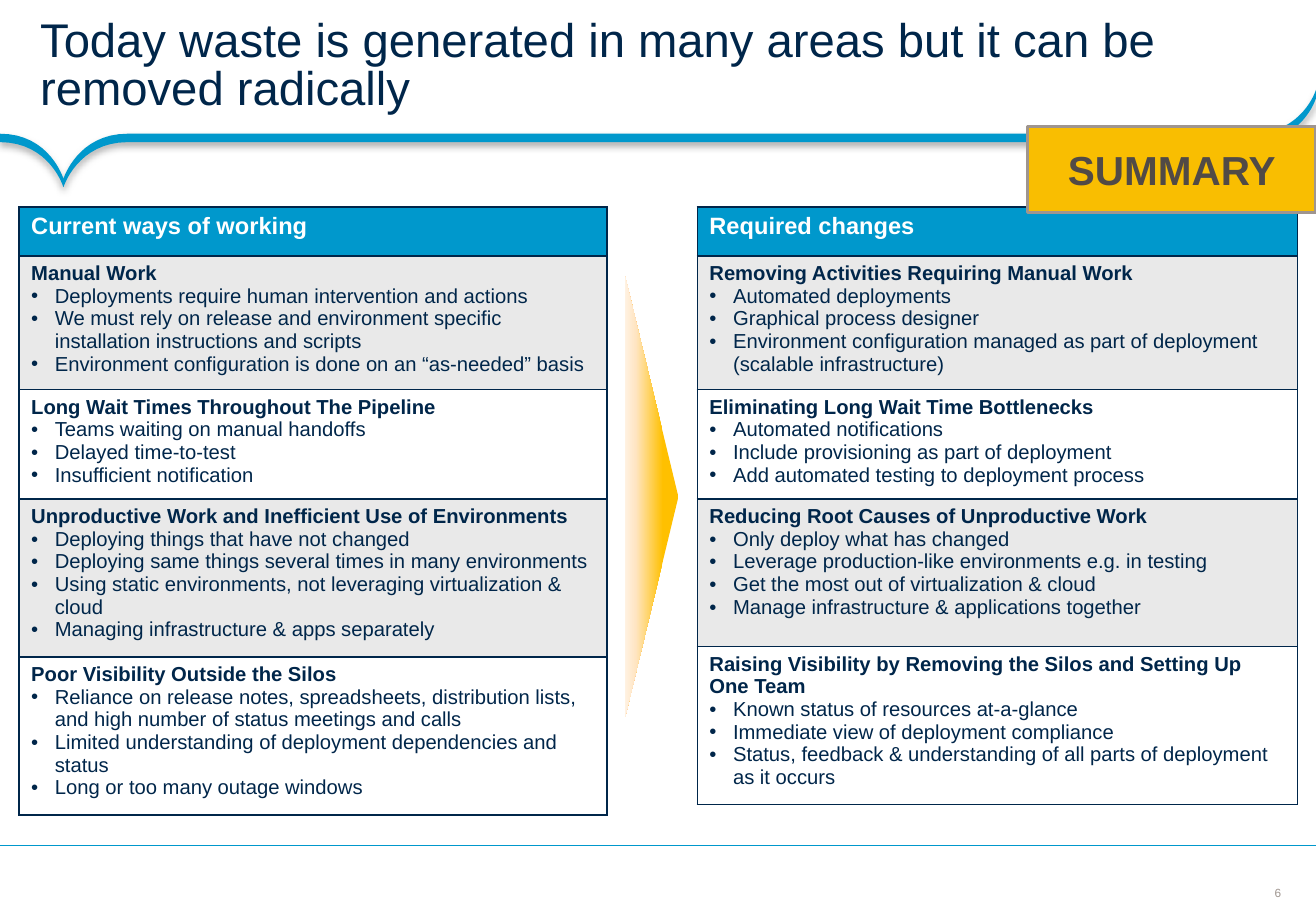
from dataclasses import dataclass

from lxml.etree import Element, SubElement
from copy import deepcopy
from pptx import Presentation
from pptx.dml.color import RGBColor
from pptx.enum.shapes import MSO_CONNECTOR, MSO_SHAPE
from pptx.enum.text import MSO_ANCHOR, MSO_AUTO_SIZE, PP_ALIGN
from pptx.oxml.ns import qn
from pptx.slide import Slide
from pptx.table import _Cell as Cell
from pptx.text.text import TextFrame
from pptx.util import Pt

HUES = {
    "blue": "0098CC", "navy": "00264A", "white": "FFFFFF", "band": "E9E9E9",
    "gold": "F9BE01", "edge": "9F958F", "ink": "514A46",
    "amber": "FFC000", "peach": "FFE5C3", "cream": "FFF2E2",
}
WIDE, HIGH = 780, 540
ROWS = (29, 74, 61.5, 87.5, 88)
Point = tuple[float, float]


@dataclass
class Topic:
    head: str
    items: tuple[str, ...]


@dataclass
class Panel:
    title: str
    left: float
    width: float
    topics: tuple[Topic, ...]


PANELS = (
    Panel("Current ways of working", 11.3, 348.5, (
        Topic("Manual Work", (
            "Deployments require human intervention and actions",
            "We must rely on release and environment specific installation instructions and scripts",
            "Environment configuration is done on an “as-needed” basis")),
        Topic("Long Wait Times Throughout The Pipeline", (
            "Teams waiting on manual handoffs",
            "Delayed time-to-test",
            "Insufficient notification")),
        Topic("Unproductive Work and Inefficient Use of Environments", (
            "Deploying things that have not changed",
            "Deploying same things several times in many environments",
            "Using static environments, not leveraging virtualization & cloud",
            "Managing infrastructure & apps separately")),
        Topic("Poor Visibility Outside the Silos", (
            "Reliance on release notes, spreadsheets, distribution lists, and high number of status meetings and calls",
            "Limited understanding of deployment dependencies and status",
            "Long or too many outage windows")),
    )),
    Panel("Required changes", 413.3, 355.7, (
        Topic("Removing Activities Requiring Manual Work", (
            "Automated deployments",
            "Graphical process designer",
            "Environment configuration managed as part of deployment (scalable infrastructure)")),
        Topic("Eliminating Long Wait Time Bottlenecks", (
            "Automated notifications",
            "Include provisioning as part of deployment",
            "Add automated testing to deployment process")),
        Topic("Reducing Root Causes of Unproductive Work", (
            "Only deploy what has changed",
            "Leverage production-like environments e.g. in testing",
            "Get the most out of virtualization & cloud",
            "Manage infrastructure & applications together")),
        Topic("Raising Visibility by Removing the Silos and Setting Up One Team", (
            "Known status of resources at-a-glance",
            "Immediate view of deployment compliance",
            "Status, feedback & understanding of all parts of deployment as it occurs")),
    )),
)


def tint(name: str) -> RGBColor:
    return RGBColor.from_string(HUES[name])


def write(frame: TextFrame, text: str, *, size: float = 12, hue: str = "navy",
          bold: bool = False, align: PP_ALIGN = PP_ALIGN.LEFT,
          space: float = 1, bullet: bool = False) -> None:
    par = frame.paragraphs[0]
    if par.runs:
        par = frame.add_paragraph()
    par.alignment, par.line_spacing = align, space
    run = par.add_run()
    run.text = text
    font = run.font
    font.name, font.size, font.bold = "Arial", Pt(size), bold
    font.color.rgb = tint(hue)
    if bullet:
        props = par._p.get_or_add_pPr()
        props.set("marL", str(Pt(14)))
        props.set("indent", str(-Pt(14)))
        SubElement(props, qn("a:buFont"), typeface="Arial")
        SubElement(props, qn("a:buChar"), char="•")


def paint(cell: Cell, hue: str) -> None:
    cell.fill.solid()
    cell.fill.fore_color.rgb = tint(hue)
    props = cell._tc.get_or_add_tcPr()
    for spot, side in enumerate("LRTB"):
        line = Element(qn(f"a:ln{side}"), w=str(Pt(1)))
        fill = SubElement(line, qn("a:solidFill"))
        SubElement(fill, qn("a:srgbClr"), val=HUES["navy"])
        props.insert(spot, line)


def draw_panel(slide: Slide, panel: Panel) -> None:
    table = slide.shapes.add_table(
        len(ROWS), 1, Pt(panel.left), Pt(122.7), Pt(panel.width), Pt(sum(ROWS))).table
    for row, high in zip(table.rows, ROWS):
        row.height = Pt(high)
    head = table.cell(0, 0)
    paint(head, "blue")
    write(head.text_frame, panel.title, size=14, hue="white", bold=True)
    for num, topic in enumerate(panel.topics, 1):
        cell = table.cell(num, 0)
        paint(cell, "band" if num % 2 else "white")
        write(cell.text_frame, topic.head, bold=True)
        for item in topic.items:
            write(cell.text_frame, item, bullet=True)


def curve(flat: Point, bend: Point, tip: Point) -> list[Point]:
    steps = [num / 16 for num in range(17)]
    return [tuple((1 - t) ** 3 * a + 3 * t * (1 - t) ** 2 * b + (3 * t * t - 2 * t ** 3) * c
                  for a, b, c in zip(flat, bend, tip)) for t in steps]


def draw_ribbon(slide: Slide) -> None:
    base, thick = 79.3, 5
    notch = (37.6, 106)
    upper = curve((0, base), (29.5, base), notch)
    upper += curve((75.6, base), (46, base), notch)[::-1]
    upper += curve((741.8, base), (772, base), (WIDE, 53.3))
    lower = [(x, y + thick) for x, y in reversed(upper)]
    start, *rest = [(Pt(x), Pt(y)) for x, y in upper + lower]
    build = slide.shapes.build_freeform(*start)
    build.add_line_segments(rest, close=True)
    shape = build.convert_to_shape()
    shape.fill.solid()
    shape.fill.fore_color.rgb = tint("blue")
    shape.line.fill.background()
    shape.shadow.inherit = False
    glow = SubElement(shape._element.spPr.find(qn("a:effectLst")), qn("a:outerShdw"),
                      blurRad=str(Pt(4)), dist=str(Pt(2)), dir="5400000", rotWithShape="0")
    shade = SubElement(glow, qn("a:srgbClr"), val="000000")
    SubElement(shade, qn("a:alpha"), val="31000")


def draw_arrow(slide: Slide) -> None:
    shape = slide.shapes.add_shape(
        MSO_SHAPE.ISOSCELES_TRIANGLE, Pt(255.6), Pt(278.7), Pt(261.4), Pt(31.6))
    shape.rotation = 90
    shape.shadow.inherit = False
    shape.line.fill.background()
    shape.fill.gradient()
    shape.fill.gradient_angle = 270
    last = list(shape._element.iter(qn("a:gs")))[-1]
    last.addnext(deepcopy(last))
    marks = ((0.29, "amber"), (0.8, "peach"), (1, "cream"))
    for stop, (place, hue) in zip(shape.fill.gradient_stops, marks):
        stop.position = place
        stop.color.rgb = tint(hue)


def draw_badge(slide: Slide) -> None:
    shape = slide.shapes.add_shape(MSO_SHAPE.RECTANGLE, Pt(609), Pt(75), Pt(171), Pt(51))
    shape.shadow.inherit = False
    shape.fill.solid()
    shape.fill.fore_color.rgb = tint("gold")
    shape.line.color.rgb = tint("edge")
    shape.line.width = Pt(2)
    shape.text_frame.vertical_anchor = MSO_ANCHOR.MIDDLE
    write(shape.text_frame, "SUMMARY", size=24, hue="ink", bold=True, align=PP_ALIGN.CENTER)


def draw_title(slide: Slide) -> None:
    title = slide.shapes.title
    title.left, title.top, title.width, title.height = Pt(0), Pt(0), Pt(WIDE), Pt(79.2)
    frame = title.text_frame
    frame.auto_size, frame.word_wrap = MSO_AUTO_SIZE.NONE, True
    frame.vertical_anchor = MSO_ANCHOR.MIDDLE
    frame.margin_left, frame.margin_right = Pt(23.8), Pt(13)
    frame.margin_top = frame.margin_bottom = Pt(3)
    write(frame, "Today waste is generated in many areas but it can be removed radically",
          size=28, space=0.85)


def draw_foot(slide: Slide) -> None:
    rule = slide.shapes.add_connector(MSO_CONNECTOR.STRAIGHT, Pt(WIDE), Pt(501), Pt(0), Pt(501))
    rule.line.color.rgb = tint("blue")
    rule.line.width = Pt(0.75)
    SubElement(rule._element.spPr, qn("a:effectLst"))
    frame = slide.shapes.add_textbox(Pt(753), Pt(525), Pt(9), Pt(8.5)).text_frame
    frame.margin_left = frame.margin_right = frame.margin_top = frame.margin_bottom = 0
    frame.vertical_anchor = MSO_ANCHOR.MIDDLE
    write(frame, "6", size=7, hue="edge", align=PP_ALIGN.CENTER)


def main() -> None:
    deck = Presentation()
    deck.slide_width, deck.slide_height = Pt(WIDE), Pt(HIGH)
    slide = deck.slides.add_slide(deck.slide_layouts[5])
    draw_ribbon(slide)
    draw_foot(slide)
    draw_title(slide)
    for panel in PANELS:
        draw_panel(slide, panel)
    draw_arrow(slide)
    draw_badge(slide)
    deck.save("out.pptx")


if __name__ == "__main__":
    main()
